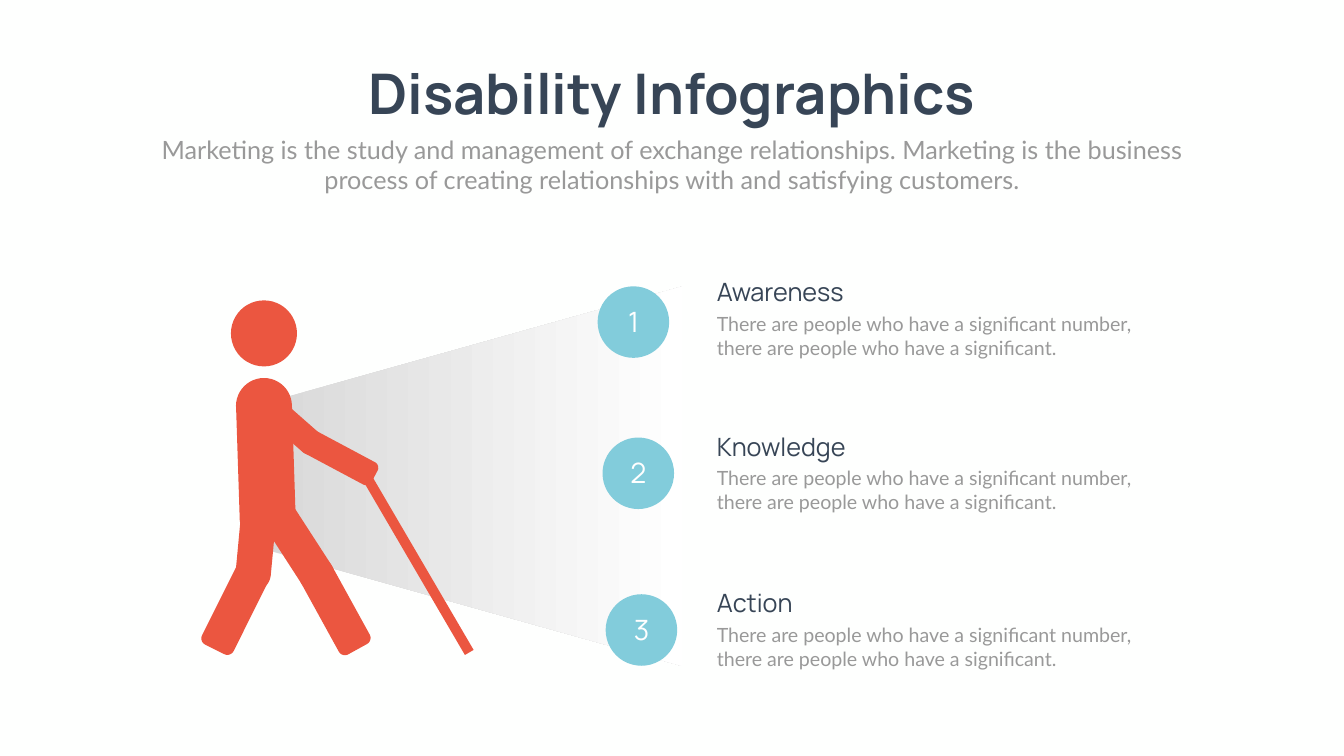
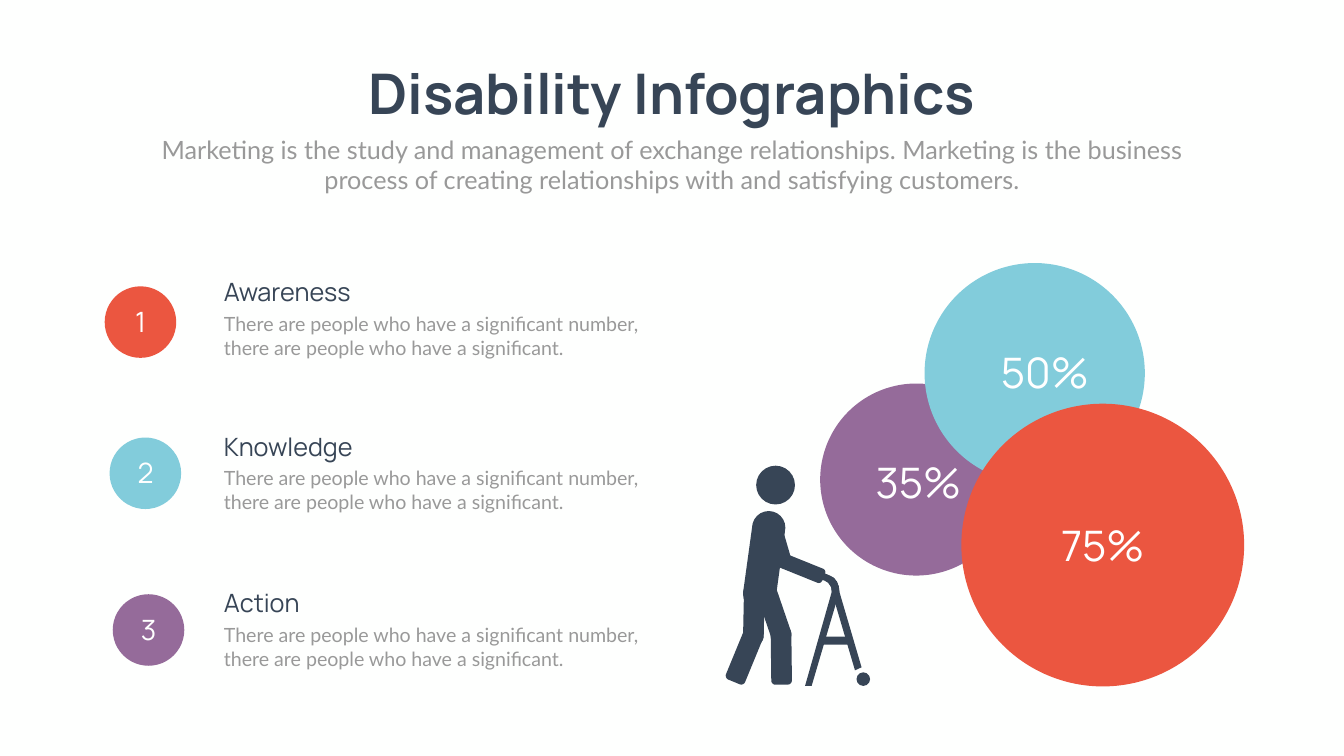
"""Build two disability infographic slides with walking figures and numbered lists."""
import math

from pptx import Presentation
from pptx import util as u
from pptx.dml import color
from pptx.enum import shapes, text

COLORS = {
    "paper": "FEFFFE", "navy": "374556", "gray": "999999", "white": "FFFFFF",
    "red": "EB5640", "blue": "82CCDB", "purple": "956B9A", "beam": "D8D8D8",
}
CENTER, LEFT = text.PP_ALIGN.CENTER, text.PP_ALIGN.LEFT
TOP, MIDDLE = text.MSO_ANCHOR.TOP, text.MSO_ANCHOR.MIDDLE
OVAL, RECTANGLE = shapes.MSO_SHAPE.OVAL, shapes.MSO_SHAPE.RECTANGLE

STYLES = {
    "title": ({"size": u.Pt(80), "name": "Manrope", "bold": True}, "navy", CENTER, TOP),
    "lead": ({"size": u.Pt(36), "name": "Lato"}, "gray", CENTER, TOP),
    "heading": ({"size": u.Pt(36), "name": "Manrope"}, "navy", LEFT, TOP),
    "detail": ({"size": u.Pt(28), "name": "Lato"}, "gray", LEFT, TOP),
    "number": ({"size": u.Pt(40), "name": "Manrope"}, "white", CENTER, MIDDLE),
    "percent": ({"size": u.Pt(60), "name": "Manrope"}, "white", CENTER, TOP),
}

SLIDE_SIZE = (1919.52, 1080)
TITLE = "Disability Infographics"
TITLE_AREA = (483.1, 80.6, 953.3, 104.4)
LEAD = ("Marketing is the study and management of exchange relationships. "
        "Marketing is the business process of creating relationships with "
        "and satisfying customers.")
LEAD_AREA = (210.2, 187.9, 1499, 94.3)

DETAIL = ("There are people who have a significant number, "
          "there are people who have a significant.")
ITEMS = [
    {"heading": "Awareness", "shift": 0, "circle_top": 409, "text_top": 391.7},
    {"heading": "Knowledge", "shift": 7, "circle_top": 625, "text_top": 612},
    {"heading": "Action", "shift": 11.5, "circle_top": 848.9, "text_top": 835.9},
]
CIRCLE, TEXT_OFFSET = 102.2, 163.2

BEAM_AREA = (402.5, 379.4, 542.2, 601.9)
CANE_AREA, CANE_TURN = (590.4, 663.8, 14.4, 288), 329.7

BUBBLES = [
    ("35%", "purple", (1171.4, 547.9, 274.3), (1204.6, 648)),
    ("50%", "blue", (1320.5, 375.8, 314.6), (1385.3, 491)),
    ("75%", "red", (1373, 576.7, 403.9), (1468.1, 738)),
]

# Each limb holds its start, end, width, start radius and end radius.
CANE_WALKER = {
    "discs": [(329.8, 429.1, 94.3), (337, 540, 79.9)],
    "limbs": [
        ((428.4, 623.5), (535, 680.4), 36, 18, 9),
        ((366.5, 563.8), (457.2, 643.7), 36, 18, 18),
        ((372.3, 796.3), (306.7, 927.7), 50.4, 25.2, 10),
        ((359.3, 844.6), (373, 698.4), 50.4, 25.2, 10),
        ((466.1, 842.3), (386.3, 718.9), 50.4, 25.2, 10),
        ((439.9, 798.5), (510.8, 927.4), 50.4, 25.2, 10),
        ((376.9, 574.2), (382.7, 752), 79.9, 10, 10),
    ],
}
FRAME_WALKER = {
    "discs": [(1080, 665.3, 55.4), (1074.2, 730.1, 47.5), (1061.3, 825.1, 47.5),
              (1223.3, 960.5, 19.4)],
    "limbs": [
        ((1109.3, 797.4), (1176.2, 824.4), 21.6, 10.8, 5),
        ((1102.6, 742.4), (1122.6, 811.4), 21.6, 10.8, 10.8),
        ((1081.3, 894), (1048.3, 974.2), 29.5, 14.75, 6),
        ((1075.7, 923), (1077.5, 835.6), 29.5, 14.75, 6),
        ((1120.3, 920.2), (1092.2, 838.1), 29.5, 14.75, 6),
        ((1115.3, 891.4), (1116.4, 978.1), 29.5, 14.75, 6),
        ((1098.4, 750.2), (1084, 854.6), 47.2, 6, 6),
    ],
}
HANDLE_OUTER = [(1166.4, 818), (1170, 818), (1178, 819.3), (1185, 822.3),
                (1190.9, 825.5), (1195.3, 831), (1198, 838), (1198.8, 845.3)]
HANDLE_INNER = [(1188, 845.3), (1187, 838.5), (1183, 832.5), (1177.3, 829),
                (1170, 828), (1166.4, 828)]
FRAME_FEET = [
    [(1159.2, 979.9), (1149.8, 979.9)],
    [(1230.5, 953.3), (1221.1, 957.6)],
]
FRAME_BAR = (1172.2, 909.4, 41, 11.5)


def rgb(name):
    return color.RGBColor.from_string(COLORS[name])


def points(values):
    return [u.Pt(value) for value in values]


def paint(shape, fill):
    shape.shadow.inherit = False
    shape.line.fill.background()
    shape.fill.solid()
    shape.fill.fore_color.rgb = rgb(fill)
    return shape


def add_preset(page, kind, area, fill):
    return paint(page.shapes.add_shape(kind, *points(area)), fill)


def add_disc(page, left, top, size, fill):
    return add_preset(page, OVAL, (left, top, size, size), fill)


def add_outline(page, corners, fill):
    corners = [points(corner) for corner in corners]
    builder = page.shapes.build_freeform(*corners[0])
    builder.add_line_segments(corners[1:], close=True)
    return paint(builder.convert_to_shape(), fill)


def limb_outline(start, end, width, start_radius, end_radius, steps=8):
    length = math.dist(start, end)
    along = [(b - a) / length for a, b in zip(start, end)]
    half = width / 2
    turns = [
        (start_radius, start_radius - half, start_radius, 180),
        (length - end_radius, end_radius - half, end_radius, 270),
        (length - end_radius, half - end_radius, end_radius, 0),
        (start_radius, half - start_radius, start_radius, 90),
    ]
    outline = []
    for x, y, radius, first in turns:
        for step in range(steps + 1):
            angle = math.radians(first + 90 * step / steps)
            far, side = x + radius * math.cos(angle), y + radius * math.sin(angle)
            outline.append((start[0] + far * along[0] - side * along[1],
                            start[1] + far * along[1] + side * along[0]))
    return outline


def add_figure(page, figure, fill):
    for disc in figure["discs"]:
        add_disc(page, *disc, fill)
    for limb in figure["limbs"]:
        add_outline(page, limb_outline(*limb), fill)


def write(box, words, style):
    font_values, ink, align, anchor = STYLES[style]
    frame = box.text_frame
    frame_values = {"word_wrap": True, "auto_size": text.MSO_AUTO_SIZE.NONE,
                    "vertical_anchor": anchor, "margin_left": u.Pt(7.2),
                    "margin_right": u.Pt(7.2), "margin_top": u.Pt(3.6),
                    "margin_bottom": u.Pt(3.6)}
    for name, value in frame_values.items():
        setattr(frame, name, value)
    para = frame.paragraphs[0]
    para.alignment = align
    para.space_before = u.Pt(0)
    span = para.add_run()
    span.text = words
    for name, value in font_values.items():
        setattr(span.font, name, value)
    span.font.color.rgb = rgb(ink)


def add_text(page, area, words, style):
    write(page.shapes.add_textbox(*points(area)), words, style)


def add_page(deck):
    page = deck.slides.add_slide(deck.slide_layouts[0])
    page.background.fill.solid()
    page.background.fill.fore_color.rgb = rgb("paper")
    headers = [(TITLE, TITLE_AREA, "title"), (LEAD, LEAD_AREA, "lead")]
    for box, (words, area, style) in zip(page.placeholders, headers):
        box.left, box.top, box.width, box.height = points(area)
        write(box, words, style)
    return page


def add_items(page, left, fills):
    for number, (item, fill) in enumerate(zip(ITEMS, fills), 1):
        x, y = left + item["shift"], item["circle_top"]
        add_disc(page, x, y, CIRCLE, fill)
        add_text(page, (x - 7, y + 21.6, 116.6, 56.9), str(number), "number")
        x, y = left + TEXT_OFFSET, item["text_top"]
        add_text(page, (x, y, 218.9, 51.1), item["heading"], "heading")
        add_text(page, (x, y + 50.4, 615.6, 74.9), DETAIL, "detail")


def add_beam(page):
    beam = add_preset(page, shapes.MSO_SHAPE.TRAPEZOID, BEAM_AREA, "beam")
    beam.adjustments[0] = 0.31
    beam.rotation = 270
    beam.fill.gradient()
    beam.fill.gradient_angle = 270
    for stop, name in zip(beam.fill.gradient_stops, ("beam", "white")):
        stop.color.rgb = rgb(name)


def add_bubbles(page):
    for _, fill, disc, _ in BUBBLES:
        add_disc(page, *disc, fill)
    for words, _, _, corner in BUBBLES:
        add_text(page, (*corner, 213.8, 79.9), words, "percent")


def build_cane_page(deck):
    page = add_page(deck)
    add_beam(page)
    add_figure(page, CANE_WALKER, "red")
    add_preset(page, RECTANGLE, CANE_AREA, "red").rotation = CANE_TURN
    add_items(page, 853.5, ["blue"] * 3)


def build_frame_page(deck):
    page = add_page(deck)
    add_bubbles(page)
    add_figure(page, FRAME_WALKER, "navy")
    for feet in FRAME_FEET:
        add_outline(page, HANDLE_OUTER + feet + HANDLE_INNER, "navy")
    add_preset(page, RECTANGLE, FRAME_BAR, "navy")
    add_items(page, 149.5, ["red", "blue", "purple"])


def main():
    deck = Presentation()
    deck.slide_width, deck.slide_height = points(SLIDE_SIZE)
    build_cane_page(deck)
    build_frame_page(deck)
    deck.save("out.pptx")


if __name__ == "__main__":
    main()
